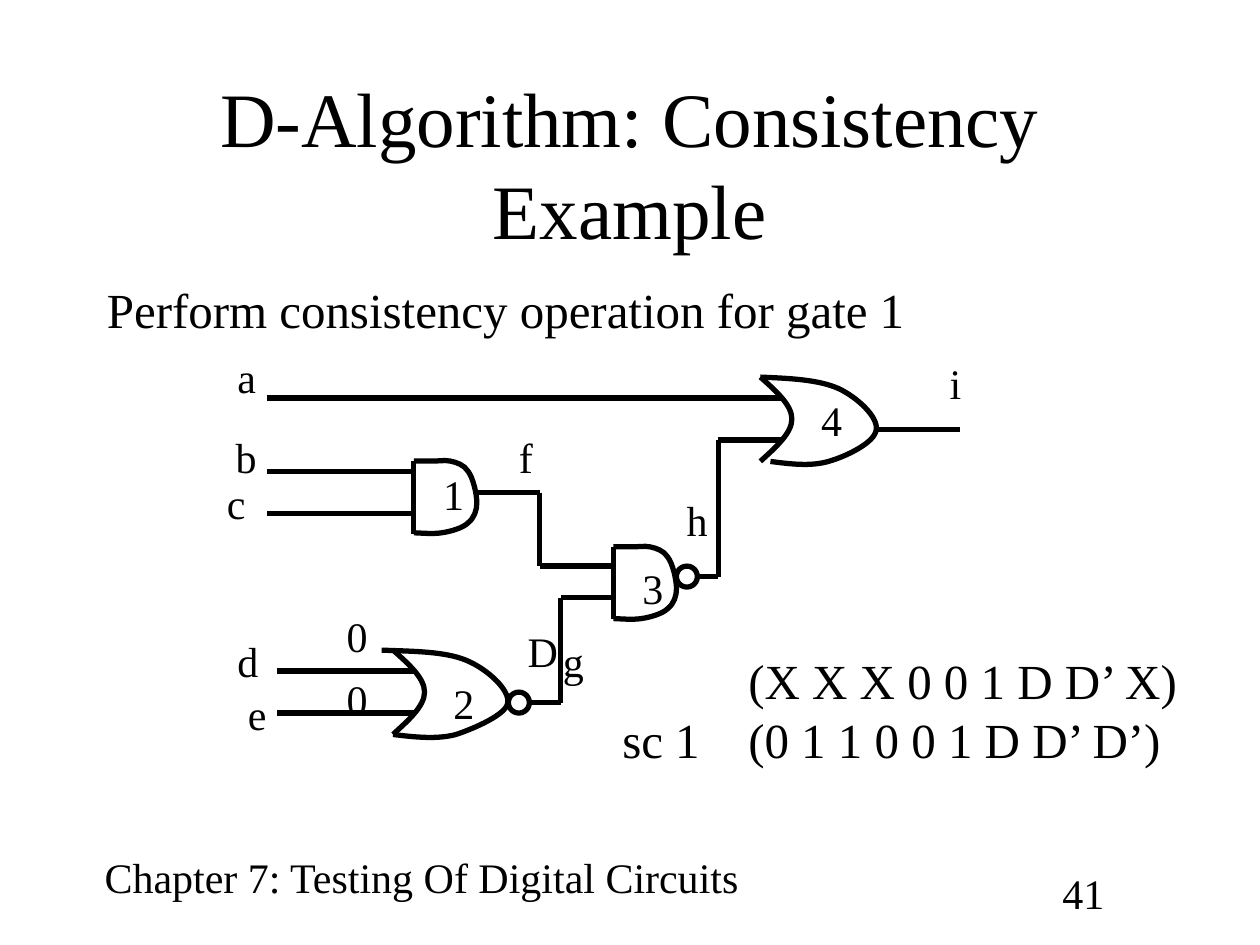
"""Build a slide showing a D-algorithm consistency step on a four-gate circuit."""
import pptx
import pptx.dml.color
import pptx.enum.shapes
import pptx.enum.text
import pptx.util
from lxml import etree

Pt = pptx.util.Pt
COLORS = {"ink": "000000", "paper": "FFFFFF"}
INK = pptx.dml.color.RGBColor.from_string(COLORS["ink"])
FONT = "Times New Roman"
STROKE = 3
DRAWING = "{http://schemas.openxmlformats.org/drawingml/2006/main}"

deck = pptx.Presentation()
deck.slide_width, deck.slide_height = Pt(720), Pt(540)
page = deck.slides.add_slide(deck.slide_layouts[6])
page.background.fill.solid()
page.background.fill.fore_color.rgb = pptx.dml.color.RGBColor.from_string(COLORS["paper"])


def add_text(lines, left, top, width, height=36, size=24, wrap=False, before=0, grow=True):
    box = page.shapes.add_textbox(Pt(left), Pt(top), Pt(width), Pt(height))
    box.text_frame.word_wrap = wrap
    if grow:
        box.text_frame.auto_size = pptx.enum.text.MSO_AUTO_SIZE.SHAPE_TO_FIT_TEXT
    for index, line in enumerate(lines):
        para = box.text_frame.add_paragraph() if index else box.text_frame.paragraphs[0]
        para.space_before = Pt(before)
        span = para.add_run()
        span.text = line
        span.font.name = FONT
        span.font.size = Pt(size)
        span.font.color.rgb = INK
    return box


def add_curve(corner, start, segments):
    points = [start] + [point for segment in segments for point in segment]
    places = [(Pt(corner[0] + x), Pt(corner[1] + y)) for x, y in points]
    builder = page.shapes.build_freeform(*places[0], scale=1.0)
    builder.add_line_segments(places[1:], close=False)
    curve = builder.convert_to_shape()
    outline = next(curve._element.iter(f"{DRAWING}path"))
    steps = outline.findall(f"{DRAWING}lnTo")
    for first in range(0, len(steps), 3):
        bezier = etree.SubElement(outline, f"{DRAWING}cubicBezTo")
        for step in steps[first:first + 3]:
            bezier.append(step[0])
            outline.remove(step)
    curve.shadow.inherit = False
    curve.fill.background()
    curve.line.color.rgb = INK
    curve.line.width = Pt(STROKE)


add_text(["Chapter 7: Testing Of Digital Circuits"], 52.7, 483.3, 379)
add_text(["41"], 600, 492, 66, wrap=True, before=15)
title = add_text(["D-Algorithm: Consistency Example"], 54, 48, 612, 90, size=44, wrap=True, grow=False)
title.text_frame.vertical_anchor = pptx.enum.text.MSO_ANCHOR.MIDDLE
title.text_frame.paragraphs[0].alignment = pptx.enum.text.PP_ALIGN.CENTER
add_text(["Perform consistency operation for gate 1"], 54, 156, 612, 324,
         size=28, wrap=True, before=7, grow=False)

AND_BODY = [
    ((3.6, 0), (7.2, 0), (10.8, 0)), ((14.4, 0), (17.3, -0.7), (20.9, 0)),
    ((24.5, 0.7), (28.8, 2.2), (31, 5.8)), ((33.8, 9.4), (36, 18.7), (36, 23.8)),
    ((36, 28.1), (34.6, 32.4), (31, 35.3)), ((28.1, 38.2), (20.9, 40.3), (15.8, 41)),
    ((10.8, 41.8), (2.9, 41), (0, 41)),
]
OR_BACK = [((9, 8), (18, 16), (18, 24)), ((18, 32), (9, 40), (0, 48.2))]
NOR_FRONT = [
    ((11.5, 0.7), (29.5, 0.7), (41.8, 5.8)), ((54, 10.8), (67, 23), (65.5, 30.2)),
    ((64.8, 36.7), (46.8, 44.6), (36, 48.2)), ((25.2, 51.1), (12.2, 49.7), (0, 48.2)),
]
OR_FRONT = [
    ((16.6, 0.7), (33.1, 1.4), (44.6, 6.5)), ((55.4, 11.5), (67.7, 23), (66.2, 30.2)),
    ((65.5, 37.4), (49, 45.4), (38.9, 48.2)), ((28.8, 51.1), (17.3, 49.7), (5.8, 48.2)),
]
and_gates = [(236.5, 263.5), (350.6, 312.5)]
or_gates = [((224.6, 371.5), -6.5, NOR_FRONT), ((434.5, 215.5), 0, OR_FRONT)]
for corner in and_gates:
    add_curve(corner, (0, 0), AND_BODY)
for corner, front_start, front in or_gates:
    add_curve(corner, (0, 0), OR_BACK)
    add_curve(corner, (front_start, 0), front)

wires = [[(x, y), (x, y + 41.5)] for x, y in and_gates] + [
    [(152.5, 227.5), (446.5, 227.5)],
    [(152.5, 269.5), (236.5, 269.5)],
    [(152.5, 293.5), (236.5, 293.5)],
    [(158.5, 383.5), (236.5, 383.5)],
    [(158.5, 407.5), (236.5, 407.5)],
    [(302.5, 401.5), (320.5, 401.5), (320.5, 341.5), (350.6, 341.5)],
    [(272.5, 281.5), (308.5, 281.5), (308.5, 323.5), (350.6, 323.5)],
    [(398.5, 329.5), (410.5, 329.5), (410.5, 251.5), (446.5, 251.5)],
    [(500.5, 245.5), (548.5, 245.5)],
]
for wire in wires:
    for start, end in zip(wire, wire[1:]):
        line = page.shapes.add_connector(
            pptx.enum.shapes.MSO_CONNECTOR.STRAIGHT, *map(Pt, start + end))
        line.line.color.rgb = INK
        line.line.width = Pt(STROKE)
        etree.SubElement(line._element.spPr, f"{DRAWING}effectLst")

for left, top in [(290.5, 395.5), (386.5, 323.5)]:
    bubble = page.shapes.add_shape(
        pptx.enum.shapes.MSO_SHAPE.OVAL, Pt(left), Pt(top), Pt(12), Pt(12))
    bubble.shadow.inherit = False
    bubble.fill.background()
    bubble.line.color.rgb = INK
    bubble.line.width = Pt(STROKE)

labels = [
    ("a", 128.6, 197.6, 25.2), ("b", 127.5, 242.8, 26), ("c", 122.5, 269.6, 25.2),
    ("d", 128.6, 359.6, 26), ("e", 134.6, 389.8, 25.2), ("f", 289.5, 242.8, 22.4),
    ("g", 314.6, 359.6, 26), ("h", 385.3, 278.8, 26), ("i", 535.6, 201, 20.8),
    ("1", 246.2, 264.2, 26), ("2", 252, 383.8, 26), ("3", 360, 318.2, 26),
    ("4", 462.2, 221.8, 26), ("0", 191, 345.6, 26), ("0", 191, 381.6, 26),
    ("D", 294.4, 354.2, 31.7),
]
for name, left, top, width in labels:
    add_text([name], left, top, width)

cubes = add_text(["\t(X X X 0 0 1 D D’ X)", "sc 1\t(0 1 1 0 0 1 D D’ D’)"],
                 348.5, 368.2, 333.5, 75, size=28, wrap=True)
for para in cubes.text_frame.paragraphs:
    tabs = etree.SubElement(para._p.get_or_add_pPr(), f"{DRAWING}tabLst")
    etree.SubElement(tabs, f"{DRAWING}tab", pos=str(Pt(72)), algn="l")

deck.save("out.pptx")
